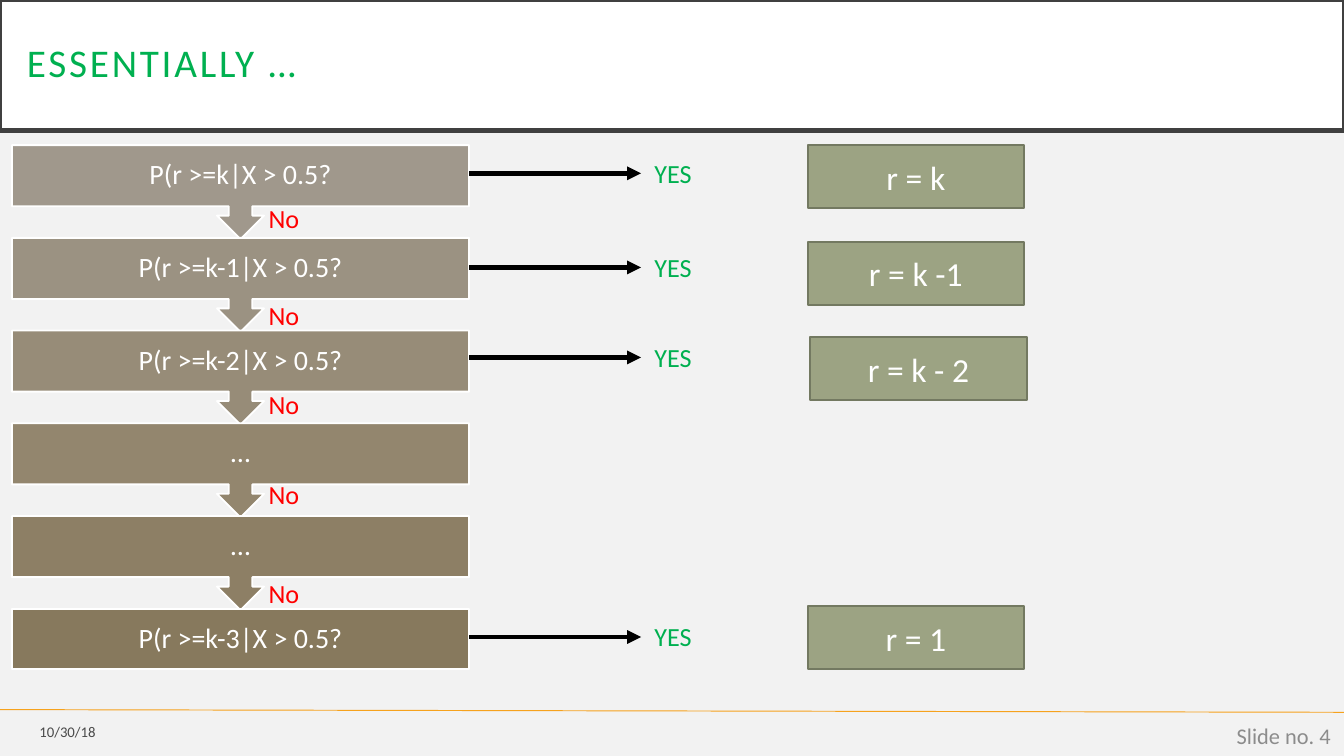
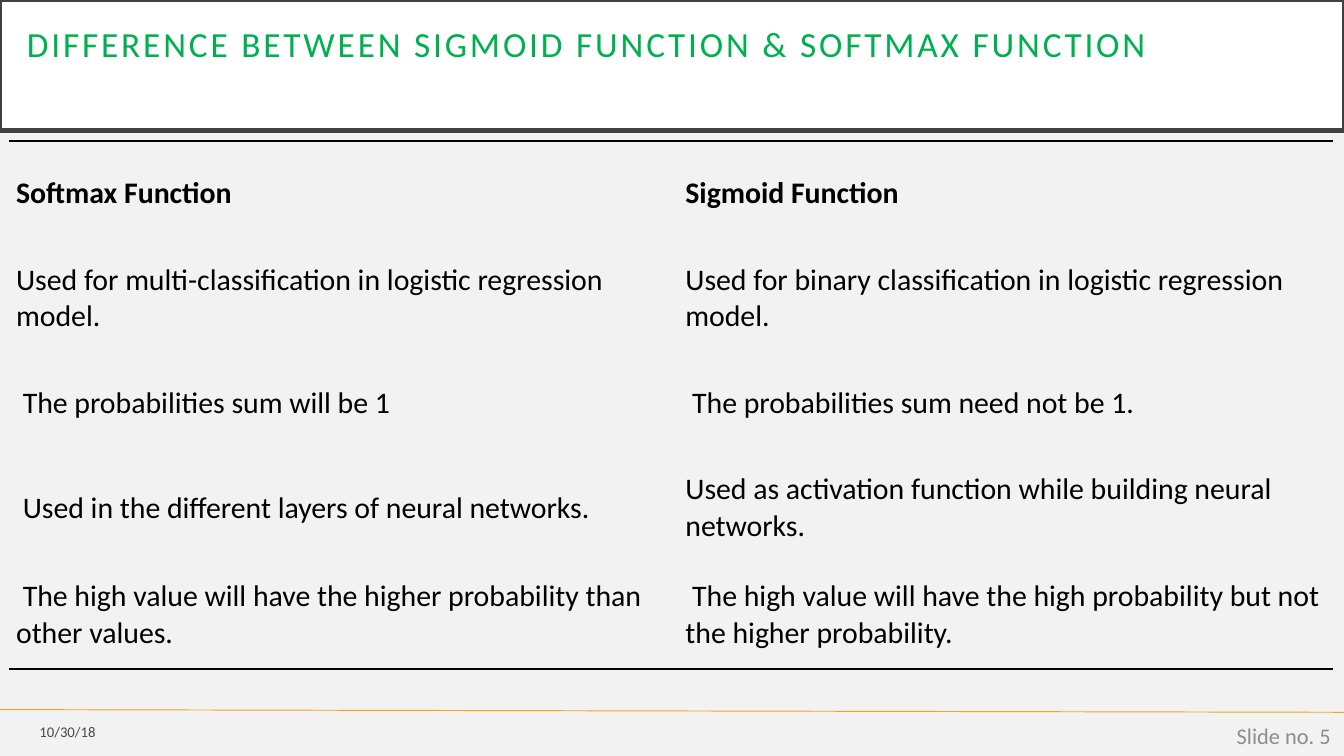
import pptx
import pptx.dml.color
import pptx.enum.shapes
import pptx.enum.text
import pptx.oxml
import pptx.oxml.ns
import pptx.util
from lxml import etree

Inches = pptx.util.Inches
Pt = pptx.util.Pt
SHAPE = pptx.enum.shapes.MSO_SHAPE
ALIGN = pptx.enum.text.PP_ALIGN
ANCHOR = pptx.enum.text.MSO_ANCHOR

FONT = "Calibri"
BACKGROUND = "F2F2F2"
WHITE = "FFFFFF"
BLACK = "000000"
GREEN = "00B050"
RED = "FF0000"
TITLE_BORDER = "404040"
FOOTER_LINE = "F6A21D"
DATE_GRAY = "494949"
NUMBER_GRAY = "8C8C8C"
RESULT_FILL = "9CA383"
RESULT_BORDER = "737961"
NO_STYLE = "{2D5ABB26-0587-4C30-8999-92F81FD0307C}"

QUESTIONS = [
    ("P(r >=k|X > 0.5?", "A0988C"),
    ("P(r >=k-1|X > 0.5?", "9B9282"),
    ("P(r >=k-2|X > 0.5?", "978C78"),
    ("…", "93866E"),
    ("…", "8D7F65"),
    ("P(r >=k-3|X > 0.5?", "87795D"),
]
NO_TOPS = [1.46, 2.18, 2.84, 3.51, 4.25]
ANSWERS = [
    (1.29, "r = k", 6.01, 1.08),
    (1.99, "r = k -1", 6.01, 1.8),
    (2.66, "r = k - 2", 6.03, 2.51),
    (4.74, "r = 1", 6.01, 4.51),
]
COMPARISON = [
    ("Softmax Function", "Sigmoid Function"),
    ("Used for multi-classification in logistic regression model.",
     "Used for binary classification in logistic regression model."),
    (" The probabilities sum will be 1", " The probabilities sum need not be 1."),
    (" Used in the different layers of neural networks.",
     "Used as activation function while building neural networks."),
    (" The high value will have the higher probability than other values.",
     " The high value will have the high probability but not the higher probability."),
]


def color(value):
    """Turn a hex string into a colour."""
    return pptx.dml.color.RGBColor.from_string(value)


def set_text(frame, text, size, text_color, align=ALIGN.LEFT, anchor=ANCHOR.MIDDLE, margin=None):
    """Write one styled paragraph into a text frame and return it."""
    frame.word_wrap = True
    frame.vertical_anchor = anchor
    if margin is not None:
        frame.margin_left = frame.margin_right = Inches(margin)
        frame.margin_top = frame.margin_bottom = Inches(margin)
    paragraph = frame.paragraphs[0]
    paragraph.text = text
    paragraph.alignment = align
    paragraph.font.name = FONT
    paragraph.font.size = Pt(size)
    paragraph.font.color.rgb = color(text_color)
    return paragraph


def add_label(slide, box, text, size, text_color, align=ALIGN.LEFT, anchor=ANCHOR.TOP):
    """Add a plain text box."""
    shape = slide.shapes.add_textbox(*map(Inches, box))
    set_text(shape.text_frame, text, size, text_color, align, anchor)


def add_box(slide, kind, box, fill, line, width):
    """Add a filled and outlined preset shape."""
    shape = slide.shapes.add_shape(kind, *map(Inches, box))
    shape.shadow.inherit = False
    shape.fill.solid()
    shape.fill.fore_color.rgb = color(fill)
    shape.line.color.rgb = color(line)
    shape.line.width = Pt(width)
    return shape


def add_line(slide, start, end, line, width, arrow=False):
    """Add a straight line, with an arrowhead at its end if asked."""
    connector = slide.shapes.add_connector(
        pptx.enum.shapes.MSO_CONNECTOR.STRAIGHT, *map(Inches, start + end))
    connector.line.color.rgb = color(line)
    connector.line.width = Pt(width)
    if arrow:
        etree.SubElement(connector.line._get_or_add_ln(),
                         pptx.oxml.ns.qn("a:tailEnd"), type="triangle")
    etree.SubElement(connector._element.spPr, pptx.oxml.ns.qn("a:effectLst"))


def add_slide(presentation, title, size, number, anchor=ANCHOR.MIDDLE):
    """Add a slide with its title band and footer."""
    slide = presentation.slides.add_slide(presentation.slide_layouts[6])
    slide.background.fill.solid()
    slide.background.fill.fore_color.rgb = color(BACKGROUND)
    add_line(slide, (0, 5.28), (10, 5.3), FOOTER_LINE, 0.5)
    band = add_box(slide, SHAPE.RECTANGLE, (0, 0, 10, 0.97), WHITE, TITLE_BORDER, 2.5)
    paragraph = set_text(band.text_frame, title, size, GREEN, anchor=anchor, margin=0.2)
    paragraph.line_spacing = 0.9
    paragraph.runs[0].font._element.set("spc", "150")
    add_label(slide, (0, 5.31, 0.81, 0.27), "10/30/18", 7.9, DATE_GRAY,
              ALIGN.RIGHT, ANCHOR.MIDDLE)
    add_label(slide, (7.75, 5.32, 2.25, 0.3), f"Slide no. {number}", 12, NUMBER_GRAY,
              ALIGN.RIGHT, ANCHOR.MIDDLE)
    return slide


def add_questions(slide):
    """Stack the questions, each pointing down to the next."""
    for index, (text, fill) in enumerate(QUESTIONS):
        last = index == len(QUESTIONS) - 1
        kind = SHAPE.RECTANGLE if last else SHAPE.DOWN_ARROW_CALLOUT
        height = 0.45 if last else 0.7
        shape = add_box(slide, kind, (0.09, 1.08 + 0.69 * index, 3.4, height), fill, WHITE, 1)
        paragraph = set_text(shape.text_frame, text, 15, WHITE, ALIGN.CENTER, margin=0.12)
        paragraph.line_spacing = 0.9


def add_answer(slide, middle, result, left, top):
    """Add a YES arrow and the result it leads to."""
    add_label(slide, (4.77, middle - 0.17, 1.09, 0.34), "YES", 14, GREEN)
    add_line(slide, (3.49, middle), (4.77, middle), BLACK, 2.5, arrow=True)
    shape = add_box(slide, SHAPE.RECTANGLE, (left, top, 1.61, 0.47),
                    RESULT_FILL, RESULT_BORDER, 1)
    set_text(shape.text_frame, result, 18, WHITE, ALIGN.CENTER)


def add_border(cell, side):
    """Draw a thin black border on one side of a cell."""
    border = pptx.oxml.parse_xml(
        f'<a:{side} {pptx.oxml.ns.nsdecls("a")} w="12700"><a:solidFill>'
        f'<a:srgbClr val="{BLACK}"/></a:solidFill></a:{side}>')
    cell._tc.get_or_add_tcPr().insert(0, border)


def add_comparison(slide):
    """Add the two-column comparison table, ruled at top and bottom."""
    frame = slide.shapes.add_table(len(COMPARISON), 2, *map(Inches, (0.07, 1.05, 9.85, 3.94)))
    table = frame.table
    table.first_row = table.horz_banding = False
    table._tbl.tblPr.find(pptx.oxml.ns.qn("a:tableStyleId")).text = NO_STYLE
    for column, width in zip(table.columns, (4.98, 4.87)):
        column.width = Inches(width)
    last = len(COMPARISON) - 1
    for row_index, texts in enumerate(COMPARISON):
        table.rows[row_index].height = Inches(0.81 if row_index == last else 0.78)
        for column_index, text in enumerate(texts):
            cell = table.cell(row_index, column_index)
            cell.fill.background()
            cell.vertical_anchor = ANCHOR.MIDDLE
            cell.margin_left = cell.margin_right = Inches(0.05)
            cell.margin_top = cell.margin_bottom = Inches(0.05)
            paragraph = set_text(cell.text_frame, text, 16, BLACK)
            paragraph.font.bold = row_index == 0
            if row_index == 0:
                add_border(cell, "lnT")
            if row_index == last:
                add_border(cell, "lnB")


def main():
    """Build and save the slides."""
    presentation = pptx.Presentation()
    presentation.slide_width = Inches(10)
    presentation.slide_height = Inches(10) * 9 // 16

    slide = add_slide(presentation, "ESSENTIALLY …", 21, 4)
    add_questions(slide)
    for top in NO_TOPS:
        add_label(slide, (1.9, top, 1.09, 0.34), "No", 14, RED)
    for answer in ANSWERS:
        add_answer(slide, *answer)

    slide = add_slide(presentation, "DIFFERENCE BETWEEN SIGMOID FUNCTION & SOFTMAX FUNCTION",
                      18.9, 5, ANCHOR.TOP)
    add_comparison(slide)
    presentation.save("out.pptx")


if __name__ == "__main__":
    main()
